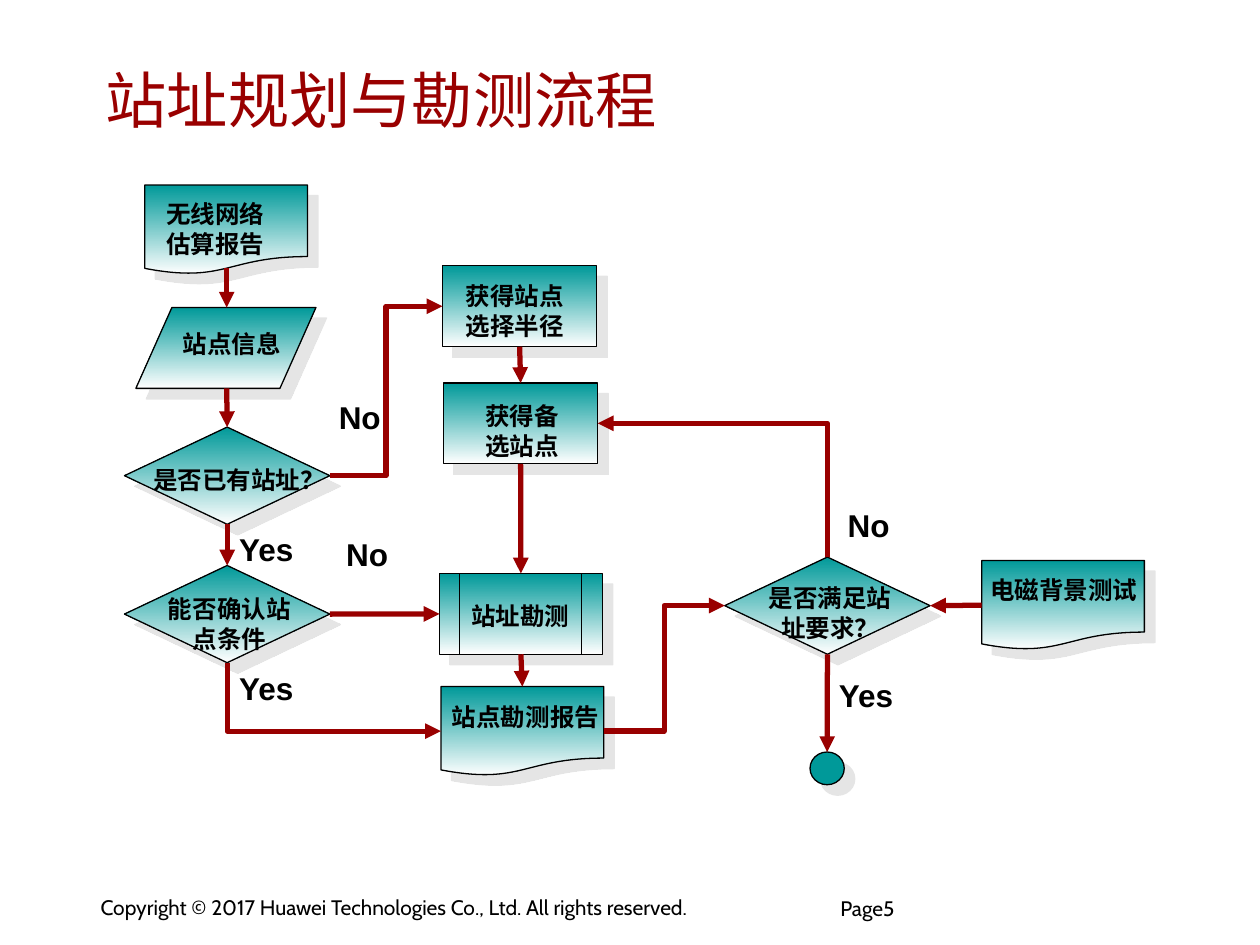
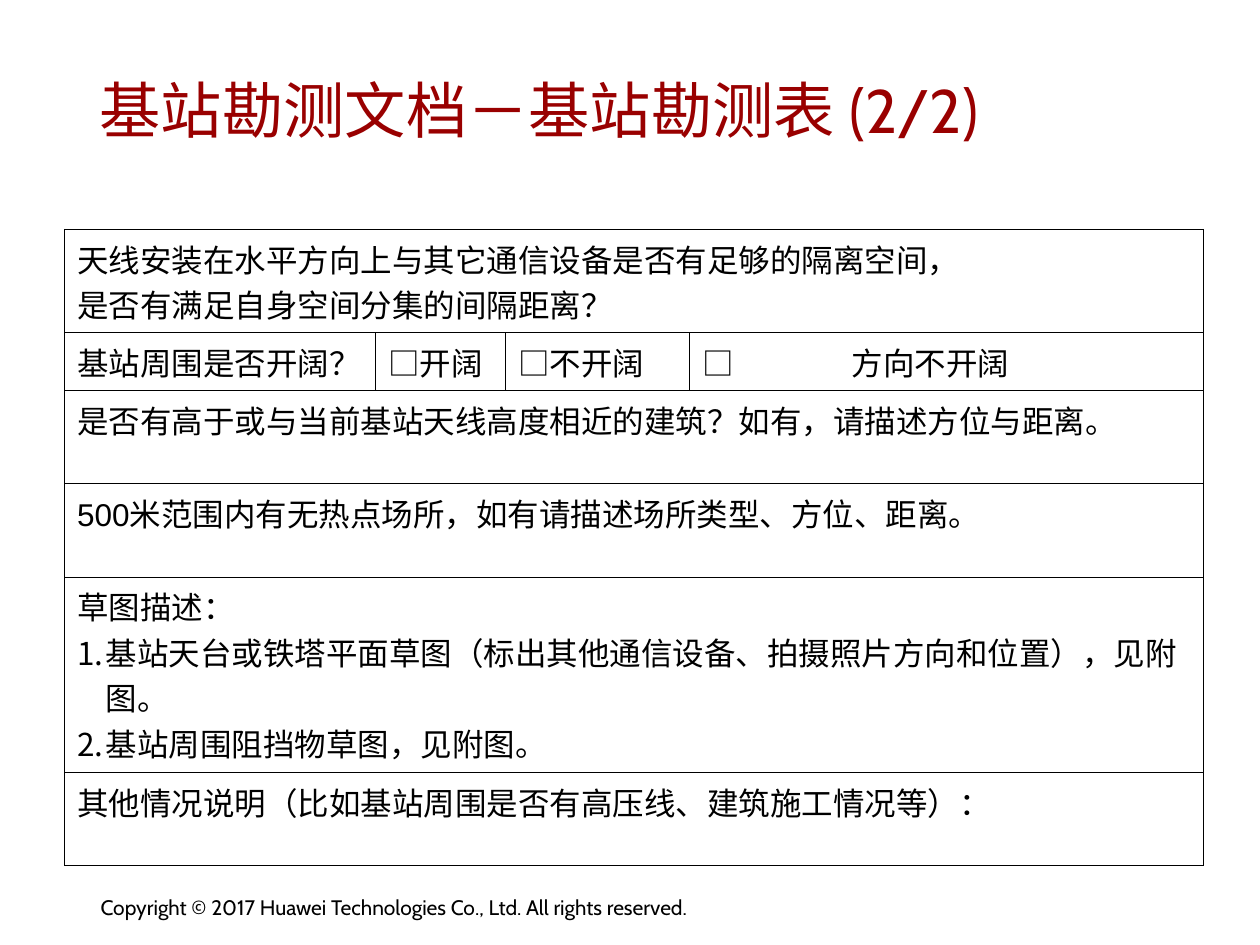
from lxml.etree import SubElement
from pptx import Presentation
from pptx.dml.color import RGBColor
from pptx.enum.shapes import MSO_CONNECTOR as Connector, MSO_SHAPE as Shape
from pptx.enum.text import MSO_ANCHOR as Anchor, MSO_AUTO_SIZE as AutoSize, PP_ALIGN as Align
from pptx.oxml.ns import qn
from pptx.util import Cm, Pt

RED = RGBColor(0x99, 0x00, 0x00)
TEAL = RGBColor(0x00, 0x99, 0x99)
BLACK = RGBColor(0x00, 0x00, 0x00)
WHITE = RGBColor(0xFF, 0xFF, 0xFF)
SHADOW = RGBColor(0xCC, 0xCC, 0xCC)

HEADING_FONT = "Cabin"
BODY_FONT = "Arial"
COPYRIGHT = "Copyright © 2017 Huawei Technologies Co., Ltd. All rights reserved."

TOP, LEFT, BOTTOM, RIGHT = range(4)

DOCUMENT = Shape.FLOWCHART_DOCUMENT
DECISION = Shape.FLOWCHART_DECISION
PROCESS = Shape.FLOWCHART_PROCESS
DATA = Shape.FLOWCHART_DATA
SUBPROCESS = Shape.FLOWCHART_PREDEFINED_PROCESS

NODE_SIZES = {
    DOCUMENT: (3.28, 1.8),
    DECISION: (4.14, 1.96),
    PROCESS: (3.11, 1.63),
    DATA: (3.63, 1.63),
    SUBPROCESS: (3.28, 1.63),
}
ONE_LINE, TWO_LINES = 0.86, 1.45

NODES = {
    "estimate": (DOCUMENT, 2.92, 3.73, "无线网络估算报告", (3.1, 3.89, 2.95, TWO_LINES)),
    "site_data": (DATA, 2.74, 6.2, "站点信息", (3.43, 6.5, 2.77, ONE_LINE)),
    "existing": (DECISION, 2.51, 8.61, "是否已有站址？", (2.84, 9.25, 4.06, ONE_LINE)),
    "confirm": (DECISION, 2.51, 11.4, "能否确认站点条件", (3.1, 11.84, 3.05, TWO_LINES)),
    "radius": (PROCESS, 8.92, 5.36, "获得站点选择半径", (9.14, 5.54, 2.67, TWO_LINES)),
    "candidates": (PROCESS, 8.94, 7.72, "获得备选站点", (9.53, 7.95, 2.39, TWO_LINES)),
    "survey": (SUBPROCESS, 8.86, 11.56, "站址勘测", (9.25, 11.99, 2.67, ONE_LINE)),
    "report": (DOCUMENT, 8.89, 13.84, "站点勘测报告", (8.86, 14.02, 3.76, ONE_LINE)),
    "suitable": (DECISION, 14.61, 11.23, "是否满足站址要求？", (15.21, 11.63, 3.05, TWO_LINES)),
    "background": (DOCUMENT, 19.79, 11.3, "电磁背景测试", (19.71, 11.46, 4.09, ONE_LINE)),
}

STRAIGHT_LINKS = [
    ("existing", BOTTOM, "confirm", TOP),
    ("radius", BOTTOM, "candidates", TOP),
    ("candidates", BOTTOM, "survey", TOP),
    ("survey", BOTTOM, "report", TOP),
    ("confirm", RIGHT, "survey", LEFT),
    ("background", LEFT, "suitable", RIGHT),
    ("suitable", BOTTOM, "end", TOP),
]
ELBOW_LINKS = [
    ("existing", RIGHT, "radius", LEFT),
    ("report", RIGHT, "suitable", LEFT),
]
CORNER_LINKS = [
    ("suitable", TOP, "candidates", RIGHT),
    ("confirm", BOTTOM, "report", LEFT),
]

BRANCH_LABELS = [
    ("No", 6.58, 7.9),
    ("Yes", 4.57, 10.57),
    ("No", 6.73, 10.67),
    ("Yes", 4.57, 13.36),
    ("No", 16.84, 10.08),
    ("Yes", 16.66, 13.51),
]

COLUMN_WIDTHS = [6.27, 2.62, 3.71, 10.36]
SURVEY_ROWS = [
    (2.08, ["天线安装在水平方向上与其它通信设备是否有足够的隔离空间，\n是否有满足自身空间分集的间隔距离？"]),
    (1.17, ["基站周围是否开阔？", "□开阔", "□不开阔", "□ "]),
    (1.88, ["是否有高于或与当前基站天线高度相近的建筑？如有，请描述方位与距离。"]),
    (1.88, ["500米范围内有无热点场所，如有请描述场所类型、方位、距离。"]),
    (3.94, ["草图描述：\n基站天台或铁塔平面草图（标出其他通信设备、拍摄照片方向和位置），见附图。\n基站周围阻挡物草图，见附图。"]),
    (1.88, ["其他情况说明（比如基站周围是否有高压线、建筑施工情况等）："]),
]
DIRECTION_ROW, SKETCH_ROW = 1, 4


def format_text(text_frame, size, font=BODY_FONT, color=BLACK, bold=False):
    for paragraph in text_frame.paragraphs:
        for run in paragraph.runs:
            run.font.size = Pt(size)
            run.font.name = font
            run.font.color.rgb = color
            run.font.bold = bold


def set_margins(text_frame, horizontal, vertical):
    text_frame.margin_left = text_frame.margin_right = Cm(horizontal)
    text_frame.margin_top = text_frame.margin_bottom = Cm(vertical)


def add_text(slide, text, box, size, font=BODY_FONT, bold=False):
    text_frame = slide.shapes.add_textbox(*map(Cm, box)).text_frame
    text_frame.word_wrap = True
    text_frame.text = text
    format_text(text_frame, size, font, bold=bold)
    return text_frame


def add_titled_slide(presentation, text, box):
    slide = presentation.slides.add_slide(presentation.slide_layouts[5])
    title = slide.shapes.title
    title.left, title.top, title.width, title.height = map(Cm, box)
    text_frame = title.text_frame
    text_frame.text = text
    text_frame.auto_size = AutoSize.NONE
    text_frame.vertical_anchor = Anchor.MIDDLE
    set_margins(text_frame, 0.23, 0.1)
    text_frame.paragraphs[0].alignment = Align.LEFT
    format_text(text_frame, 35, HEADING_FONT, RED)
    footer = add_text(slide, COPYRIGHT, (1.8, 17.93, 13.97, 0.74), 12, HEADING_FONT)
    set_margins(footer, 0.23, 0.1)
    return slide


def add_flow_shape(slide, kind, left, top, width, height):
    shape = slide.shapes.add_shape(kind, Cm(left), Cm(top), Cm(width), Cm(height))
    shape.line.color.rgb = BLACK
    shape.line.width = Pt(0.75)
    shape.shadow.inherit = False
    effects = shape.element.spPr.find(qn("a:effectLst"))
    shadow = SubElement(effects, qn("a:outerShdw"), blurRad="0", dist=str(Pt(8.5)),
                        dir="2700000", algn="ctr", rotWithShape="0")
    color = SubElement(shadow, qn("a:srgbClr"), val=str(SHADOW))
    SubElement(color, qn("a:alpha"), val="50000")
    return shape


def add_node(slide, kind, left, top, text, text_box):
    shape = add_flow_shape(slide, kind, left, top, *NODE_SIZES[kind])
    shape.fill.gradient()
    shape.fill.gradient_angle = 270
    for stop, position, color in zip(shape.fill.gradient_stops, (0, 1), (TEAL, WHITE)):
        stop.position = position
        stop.color.rgb = color
    paragraph = add_text(slide, text, text_box, 14, bold=True).paragraphs[0]
    paragraph.line_spacing = Pt(17)
    if kind == DECISION and text_box[3] == TWO_LINES:
        paragraph.alignment = Align.CENTER
    return shape


def add_end_circle(slide):
    circle = add_flow_shape(slide, Shape.FLOWCHART_CONNECTOR, 16.33, 15.16, 0.69, 0.66)
    circle.fill.solid()
    circle.fill.fore_color.rgb = TEAL
    return circle


def add_arrow(slide, kind=Connector.STRAIGHT, points=(0, 0, 0, 0)):
    arrow = slide.shapes.add_connector(kind, *map(Cm, points))
    arrow.line.color.rgb = RED
    arrow.line.width = Pt(3)
    SubElement(arrow.line._get_or_add_ln(), qn("a:tailEnd"), type="triangle")
    SubElement(arrow.element.spPr, qn("a:effectLst"))
    return arrow


def add_link(slide, kind, start, start_side, end, end_side):
    arrow = add_arrow(slide, kind)
    arrow.begin_connect(start, start_side)
    arrow.end_connect(end, end_side)
    return arrow


def turn_into_corner(arrow):
    goes_down = arrow.end_y > arrow.begin_y
    goes_left = arrow.end_x < arrow.begin_x
    width, height = arrow.width, arrow.height
    arrow.left += (width - height) // 2
    arrow.top += (height - width) // 2
    arrow.width, arrow.height = height, width
    properties = arrow.element.spPr
    properties.find(qn("a:prstGeom")).set("prst", "bentConnector2")
    transform = properties.find(qn("a:xfrm"))
    transform.set("rot", "16200000")
    transform.set("flipH", str(int(goes_down)))
    transform.set("flipV", str(int(goes_left)))


def add_flowchart(slide):
    nodes = {name: add_node(slide, *node) for name, node in NODES.items()}
    nodes["end"] = add_end_circle(slide)

    def link(kind, start, start_side, end, end_side):
        return add_link(slide, kind, nodes[start], start_side, nodes[end], end_side)

    add_arrow(slide, points=(4.57, 5.41, 4.57, 6.2))
    add_arrow(slide, points=(4.57, 7.83, 4.57, 8.61)).end_connect(nodes["existing"], TOP)
    for ends in STRAIGHT_LINKS:
        link(Connector.STRAIGHT, *ends)
    for ends in ELBOW_LINKS:
        link(Connector.ELBOW, *ends)
    for ends in CORNER_LINKS:
        turn_into_corner(link(Connector.ELBOW, *ends))
    for text, left, top in BRANCH_LABELS:
        add_text(slide, text, (left, top, 1.8, 1.02), 18, bold=True)


def add_borders(cell):
    properties = cell._tc.get_or_add_tcPr()
    for side in ("a:lnL", "a:lnR", "a:lnT", "a:lnB"):
        line = SubElement(properties, qn(side), w=str(Pt(0.45)))
        fill = SubElement(line, qn("a:solidFill"))
        SubElement(fill, qn("a:srgbClr"), val=str(BLACK))


def number_paragraph(paragraph):
    properties = paragraph._p.get_or_add_pPr()
    properties.set("marL", str(Cm(0.58)))
    properties.set("indent", str(-Cm(0.58)))
    SubElement(properties, qn("a:buAutoNum"), type="arabicPeriod")


def add_blank_to_fill(paragraph, following_text):
    tabs = SubElement(paragraph._p.get_or_add_pPr(), qn("a:tabLst"))
    SubElement(tabs, qn("a:tab"), pos=str(Cm(3.02)), algn="l")
    blank = paragraph.add_run()
    blank.text = "\t"
    blank.font.underline = True
    paragraph.add_run().text = following_text


def add_survey_table(slide):
    heights = [height for height, _ in SURVEY_ROWS]
    table = slide.shapes.add_table(
        len(heights), len(COLUMN_WIDTHS), Cm(1.3), Cm(4.62),
        Cm(sum(COLUMN_WIDTHS)), Cm(sum(heights))).table
    table.first_row = table.horz_banding = False
    for column, width in zip(table.columns, COLUMN_WIDTHS):
        column.width = Cm(width)
    for row, (height, texts) in zip(table.rows, SURVEY_ROWS):
        row.height = Cm(height)
        for cell in row.cells:
            add_borders(cell)
            cell.fill.background()
        for cell, text in zip(row.cells, texts):
            cell.text_frame.text = text
        if len(texts) == 1:
            row.cells[0].merge(row.cells[len(COLUMN_WIDTHS) - 1])
    add_blank_to_fill(table.cell(DIRECTION_ROW, 3).text_frame.paragraphs[0], "方向不开阔")
    for paragraph in table.cell(SKETCH_ROW, 0).text_frame.paragraphs[1:]:
        number_paragraph(paragraph)
    for cell in table.iter_cells():
        format_text(cell.text_frame, 18)


def main():
    presentation = Presentation()
    presentation.slide_width, presentation.slide_height = Cm(25.4), Cm(19.05)

    process_slide = add_titled_slide(presentation, "站址规划与勘测流程", (1.9, 1.12, 19.02, 1.75))
    page = add_text(process_slide, "Page5", (16.94, 18.14, 4.22, 0.91), 12, HEADING_FONT)
    set_margins(page, 0, 0)
    page.paragraphs[0].line_spacing = 0.85
    add_flowchart(process_slide)

    table_slide = add_titled_slide(presentation, "基站勘测文档－基站勘测表 (2/2)", (1.78, 0.99, 21.46, 2.41))
    add_survey_table(table_slide)

    presentation.save("out.pptx")


if __name__ == "__main__":
    main()
